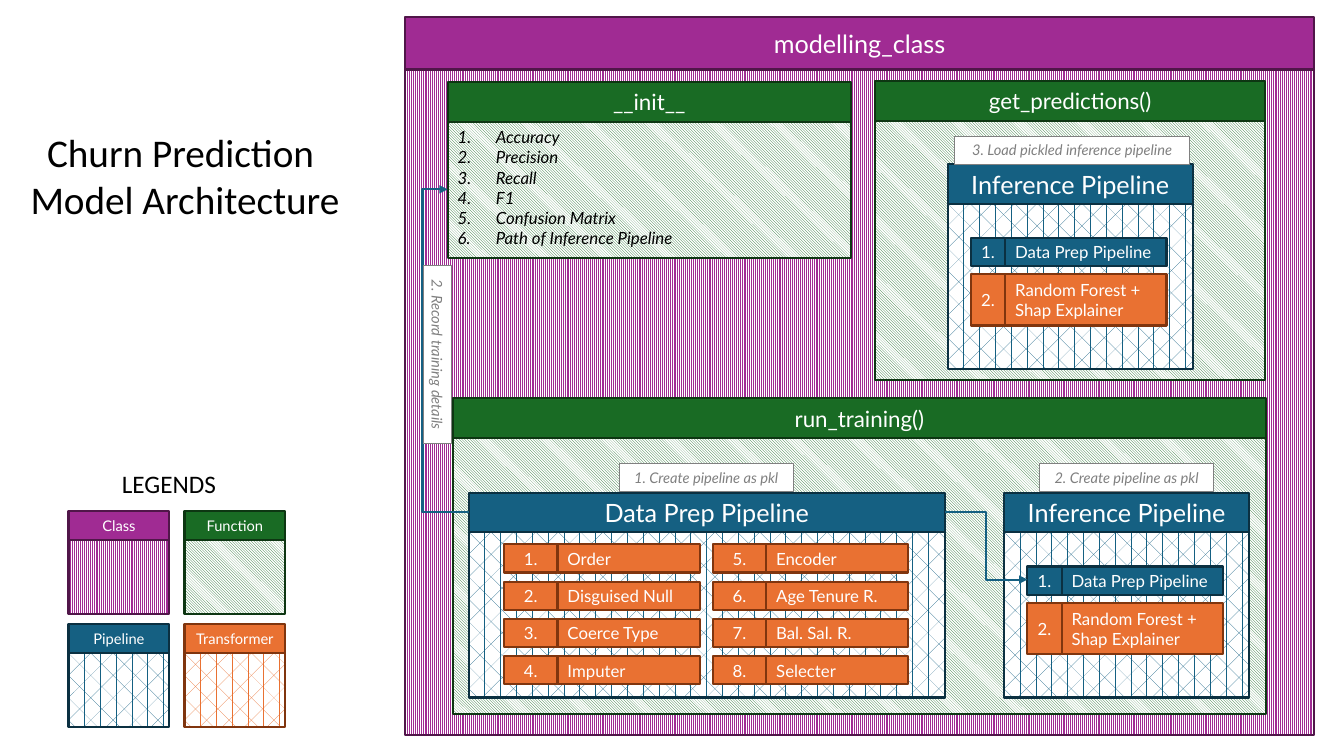
from lxml import etree
from pptx import Presentation
from pptx import util as u
from pptx.dml.color import RGBColor
from pptx.enum import dml, shapes, text
from pptx.oxml.ns import qn

COLOURS = {
    "class": "A02B93", "class_edge": "501649",
    "function": "196B24", "function_edge": "0D3612",
    "pipeline": "156082", "pipeline_edge": "0B3041",
    "transformer": "E97132", "transformer_edge": "80350E",
    "white": "FFFFFF", "black": "000000", "grey": "808080",
}
PATTERNS = {
    "class": dml.MSO_PATTERN.LIGHT_VERTICAL,
    "function": dml.MSO_PATTERN.LIGHT_DOWNWARD_DIAGONAL,
    "pipeline": dml.MSO_PATTERN.DIVOT,
    "transformer": dml.MSO_PATTERN.DIVOT,
}
LEFT, CENTER = text.PP_ALIGN.LEFT, text.PP_ALIGN.CENTER


def rgb(name):
    return RGBColor.from_string(COLOURS[name])


class Diagram:
    def __init__(self, page, font="Lato"):
        self.page = page
        self.font = font

    def set_text(self, box, lines, size, colour="white", align=CENTER,
                 middle=True, wrap=True, italic=False, font=None, numbered=False):
        frame = box.text_frame
        frame.word_wrap = wrap
        frame.vertical_anchor = (text.MSO_ANCHOR.MIDDLE if middle
                                 else text.MSO_ANCHOR.TOP)
        for index, line in enumerate(lines):
            para = frame.add_paragraph() if index else frame.paragraphs[0]
            para.text = line
            para.alignment = align
            if numbered:
                props = para._p.get_or_add_pPr()
                props.set("marL", str(u.Inches(0.38)))
                props.set("indent", str(-u.Inches(0.38)))
                etree.SubElement(props, qn("a:buAutoNum"), type="arabicPeriod")
            para.font.name = font or self.font
            para.font.size = u.Pt(size)
            para.font.italic = italic
            para.font.color.rgb = rgb(colour)

    def rect(self, left, top, width, height, fill, edge, weight=1.5, pattern=None):
        box = self.page.shapes.add_shape(
            shapes.MSO_SHAPE.RECTANGLE, *map(u.Inches, (left, top, width, height)))
        box.shadow.inherit = False
        if pattern is None:
            box.fill.solid()
            box.fill.fore_color.rgb = rgb(fill)
        else:
            box.fill.patterned()
            box.fill.pattern = pattern
            box.fill.fore_color.rgb = rgb(fill)
            box.fill.back_color.rgb = rgb("white")
        box.line.color.rgb = rgb(edge)
        box.line.width = u.Pt(weight)
        return box

    def panel(self, kind, title, left, top, width, head, body, size):
        """Draw a titled header over a patterned body, and return the body."""
        header = self.rect(left, top, width, head, kind, kind + "_edge")
        self.set_text(header, [title], size)
        return self.rect(left, top + head, width, body, kind, kind + "_edge",
                         pattern=PATTERNS[kind])

    def step(self, kind, number, name, left, top, number_width, name_width, height):
        cells = ((f"{number}.", left, number_width, CENTER),
                 (name, left + number_width, name_width, LEFT))
        for words, x, width, align in cells:
            cell = self.rect(x, top, width, height, kind, kind + "_edge")
            self.set_text(cell, [words], 12, align=align)

    def inference_pipeline(self, left, top):
        self.panel("pipeline", "Inference Pipeline", left, top, 2.43, 0.39, 1.64, 18)
        self.step("pipeline", 1, "Data Prep Pipeline",
                  left + 0.23, top + 0.73, 0.34, 1.6, 0.28)
        self.step("transformer", 2, "Random Forest + Shap Explainer",
                  left + 0.23, top + 1.09, 0.34, 1.6, 0.51)

    def note(self, words, left, top, width, rotation=0):
        box = self.rect(left, top, width, 0.28, "white", "grey", 0.75)
        box.rotation = rotation
        self.set_text(box, [words], 10.5, "grey", middle=False, wrap=False,
                      italic=True)

    def label(self, lines, left, top, width, height, size, **style):
        box = self.page.shapes.add_textbox(
            *map(u.Inches, (left, top, width, height)))
        self.set_text(box, lines, size, "black", middle=False, font="Calibri",
                      **style)

    def elbow_arrow(self, start, end, bend=0.5):
        """Draw an elbow that turns at the given share of its width."""
        arrow = self.page.shapes.add_connector(
            shapes.MSO_CONNECTOR.ELBOW, *map(u.Inches, start + end))
        arrow.line.color.rgb = rgb("pipeline")
        arrow.line.width = u.Pt(1.5)
        props = arrow._element.spPr
        guides = props.find(qn("a:prstGeom")).get_or_add_avLst()
        etree.SubElement(guides, qn("a:gd"), name="adj1",
                         fmla=f"val {round(bend * 100000)}")
        etree.SubElement(props.find(qn("a:ln")), qn("a:tailEnd"), type="triangle")
        etree.SubElement(props, qn("a:effectLst"))


def draw_functions(diagram):
    diagram.panel("class", "modelling_class", 4.02, 0.17, 9.01, 0.52, 6.6, 18)
    metrics = diagram.panel("function", "__init__", 4.44, 0.81, 4, 0.4, 1.35, 16)
    diagram.set_text(metrics, ["Accuracy", "Precision", "Recall", "F1",
                               "Confusion Matrix", "Path of Inference Pipeline"],
                     12, "black", LEFT, middle=False, italic=True, numbered=True)
    diagram.panel("function", "get_predictions()", 8.68, 0.8, 3.87, 0.4, 2.57, 16)
    diagram.panel("function", "run_training()", 4.49, 3.95, 8.07, 0.4, 2.73, 16)


def draw_legend(diagram):
    diagram.label(["LEGENDS"], 1.11, 4.6, 1.28, 0.4, 18, align=LEFT, wrap=False)
    for index, kind in enumerate(PATTERNS):
        row, column = divmod(index, 2)
        diagram.panel(kind, kind.capitalize(), 0.68 + 1.15 * column,
                      5.07 + 1.12 * row, 1, 0.29, 0.73, 10.5)


def draw_pipelines(diagram):
    diagram.panel("pipeline", "Data Prep Pipeline", 4.65, 4.89, 4.72, 0.39, 1.64, 18)
    steps = ["Order", "Disguised Null", "Coerce Type", "Imputer",
             "Encoder", "Age Tenure R.", "Bal. Sal. R.", "Selecter"]
    for index, name in enumerate(steps):
        column, row = divmod(index, 4)
        diagram.step("transformer", index + 1, name, 5 + 2.07 * column,
                     5.4 + 0.37 * row, 0.53, 1.41, 0.28)
    diagram.inference_pipeline(9.96, 4.89)
    diagram.elbow_arrow((9.37, 5.08), (10.19, 5.75))
    diagram.elbow_arrow((4.65, 5.08), (4.44, 1.88), bend=2.19)
    diagram.inference_pipeline(9.4, 1.63)


def draw_notes(diagram):
    diagram.note("1. Create pipeline as pkl", 6.14, 4.6, 1.73)
    diagram.note("2. Create pipeline as pkl", 10.31, 4.6, 1.73)
    diagram.note("2. Record training details", 3.45, 3.38, 1.77, rotation=90)
    diagram.note("3. Load pickled inference pipeline", 9.47, 1.35, 2.33)


def main():
    deck = Presentation()
    deck.slide_width, deck.slide_height = u.Inches(13.33), u.Inches(7.5)
    diagram = Diagram(deck.slides.add_slide(deck.slide_layouts[6]))
    draw_functions(diagram)
    draw_legend(diagram)
    draw_pipelines(diagram)
    draw_notes(diagram)
    diagram.label(["Churn Prediction ", "Model Architecture"],
                  0.17, 1.22, 3.33, 1.99, 28)
    deck.save("out.pptx")


if __name__ == "__main__":
    main()
